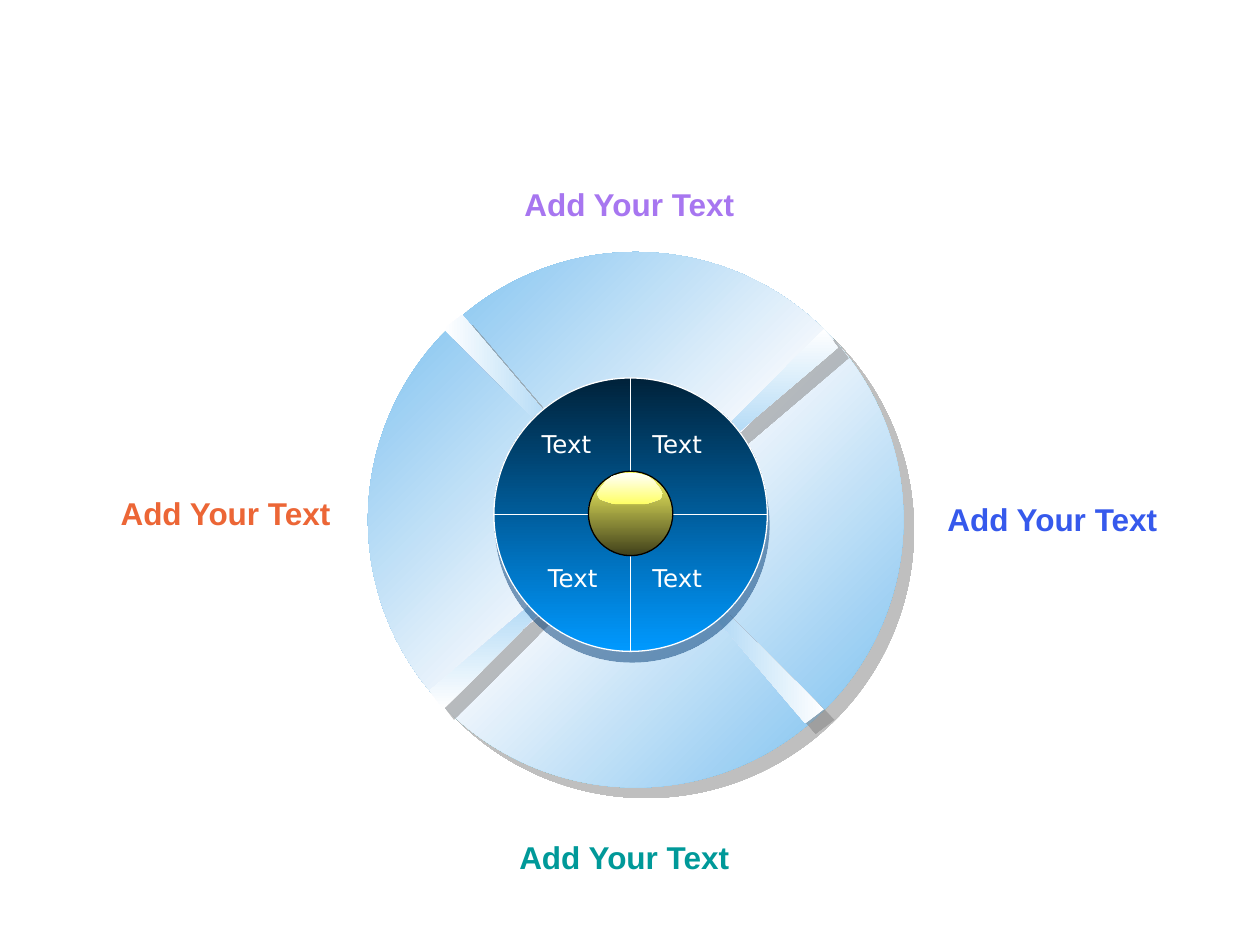
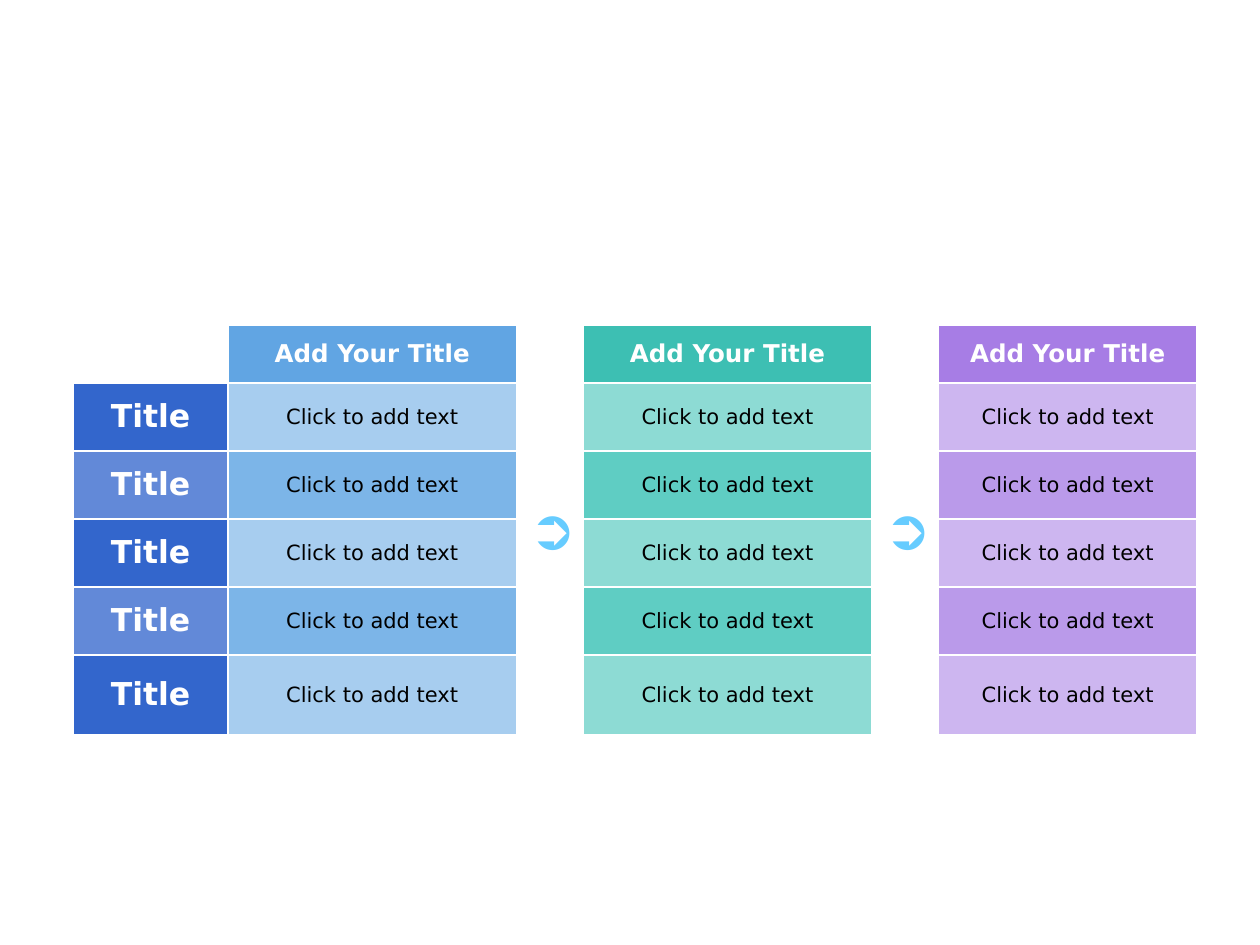
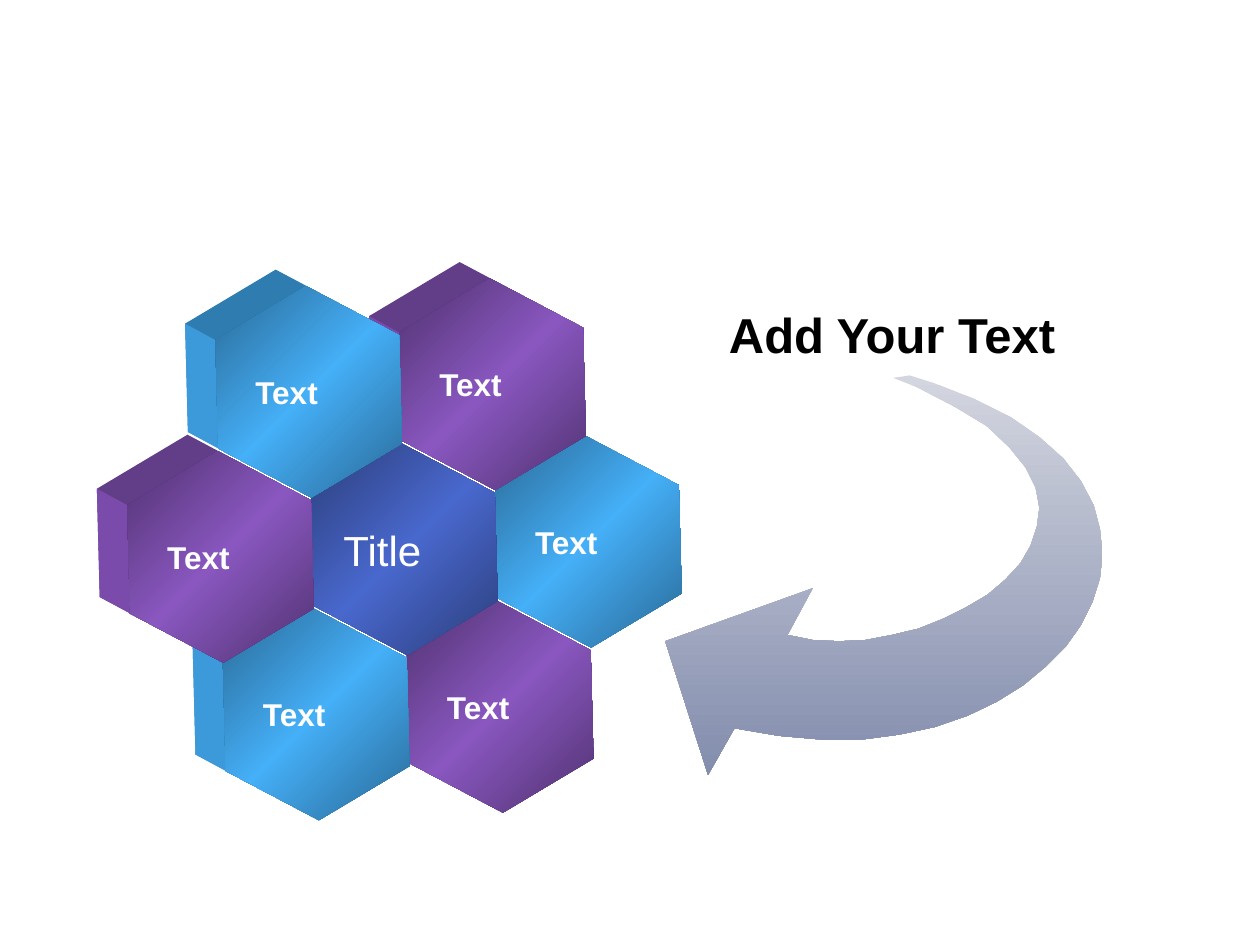
import math

import pptx
import pptx.dml.color
import pptx.enum.shapes
import pptx.enum.text
import pptx.oxml
import pptx.oxml.ns
import pptx.util

RGB = pptx.dml.color.RGBColor
SHAPE = pptx.enum.shapes.MSO_SHAPE
MIDDLE = pptx.enum.text.MSO_ANCHOR.MIDDLE
GROW = pptx.enum.text.MSO_AUTO_SIZE.SHAPE_TO_FIT_TEXT
LEFT, CENTER = pptx.enum.text.PP_ALIGN.LEFT, pptx.enum.text.PP_ALIGN.CENTER

# Colours
WHITE, BLACK, GREY = RGB(255, 255, 255), RGB(0, 0, 0), RGB(0x80, 0x80, 0x80)
SKY, ICE = RGB(0x70, 0xBB, 0xEE), RGB(0xF0, 0xF6, 0xFC)
NAVY, AZURE, NAVY_SHADE = RGB(0x00, 0x22, 0x3A), RGB(0x00, 0x99, 0xFF), RGB(0x00, 0x3B, 0x76)
YELLOW, OLIVE = RGB(0xFF, 0xFF, 0x66), RGB(0x40, 0x40, 0x1A)
BLUE, ORANGE = RGB(0x36, 0x59, 0xEC), RGB(0xEC, 0x66, 0x36)
VIOLET, TEAL = RGB(0xA7, 0x76, 0xF0), RGB(0x00, 0x99, 0x99)
ARROW_BLUE = RGB(0x66, 0xCC, 0xFF)
MIST, SLATE = RGB(0xD3, 0xD5, 0xDF), RGB(0x83, 0x8D, 0xAD)

# Table columns: header, odd rows, even rows
TITLE_FILLS = (None, RGB(0x33, 0x66, 0xCC), RGB(0x62, 0x89, 0xD8))
BLUE_FILLS = (RGB(0x61, 0xA5, 0xE3), RGB(0xA7, 0xCD, 0xEF), RGB(0x7C, 0xB5, 0xE8))
TEAL_FILLS = (RGB(0x3D, 0xBF, 0xB3), RGB(0x8D, 0xDB, 0xD4), RGB(0x5F, 0xCD, 0xC3))
VIOLET_FILLS = (RGB(0xA7, 0x7D, 0xE5), RGB(0xCD, 0xB6, 0xF0), RGB(0xBA, 0x9A, 0xEA))

# Honeycomb: face edge, face centre, top side, left side
BLUE_HEX = (RGB(0x29, 0x69, 0x95), RGB(0x45, 0xAF, 0xF7), RGB(0x2F, 0x7D, 0xB0), RGB(0x3C, 0x9A, 0xDB))
PURPLE_HEX = (RGB(0x50, 0x32, 0x70), RGB(0x89, 0x57, 0xBF), RGB(0x62, 0x3E, 0x89), RGB(0x7A, 0x4B, 0xAA))
CORE_HEX = (RGB(0x2B, 0x3D, 0x7A), RGB(0x49, 0x68, 0xCD), RGB(0x34, 0x4A, 0x93), RGB(0x41, 0x5C, 0xB5))

ARIAL, DEJAVU = "Arial", "DejaVu Sans"
COLS, ROWS = 10, 7.5


def xml(tag, attrs, inner=""):
    return f"<a:{tag} {pptx.oxml.ns.nsdecls('a')} {attrs}>{inner}</a:{tag}>"


def colour_xml(color, inner=""):
    return f'<a:srgbClr val="{color}">{inner}</a:srgbClr>'


def write(tf, text, size=18, color=WHITE, bold=False, font=ARIAL, align=CENTER):
    p = tf.paragraphs[0]
    p.alignment = align
    r = p.add_run()
    r.text = text
    r.font.size = pptx.util.Pt(size)
    r.font.bold = bold
    r.font.name = font
    r.font.color.rgb = color


class Deck:
    """Holds the grid of square cells and the current slide."""

    def __init__(self):
        self.prs = pptx.Presentation()
        self.prs.slide_width = pptx.util.Inches(10)
        self.prs.slide_height = pptx.util.Inches(7.5)
        self.col = self.prs.slide_width / COLS
        self.row = self.prs.slide_height / ROWS

    def new_slide(self):
        self.slide = self.prs.slides.add_slide(self.prs.slide_layouts[6])

    def point(self, x, y):
        return round(x * self.col), round(y * self.row)

    def box(self, x, y, w, h):
        return self.point(x, y) + self.point(w, h)

    def style(self, sp, fill, angle=0, line=None, shadow=None):
        """fill is one colour, or a list of evenly spaced gradient colours."""
        sp.shadow.inherit = False
        spPr = sp._element.spPr
        if isinstance(fill, list):
            sp.fill.background()
            stops = "".join(
                f'<a:gs pos="{i * 100000 // (len(fill) - 1)}">{colour_xml(c)}</a:gs>'
                for i, c in enumerate(fill))
            grad = xml("gradFill", 'rotWithShape="1"',
                       f'<a:gsLst>{stops}</a:gsLst><a:lin ang="{angle * 60000}" scaled="0"/>')
            spPr.replace(spPr.find(pptx.oxml.ns.qn("a:noFill")), pptx.oxml.parse_xml(grad))
        else:
            sp.fill.solid()
            sp.fill.fore_color.rgb = fill
        if line is None:
            sp.line.fill.background()
        else:
            sp.line.color.rgb = line
            sp.line.width = pptx.util.Pt(0.75)
        if shadow:
            color, dist, direction = shadow
            spPr.find(pptx.oxml.ns.qn("a:effectLst")).append(pptx.oxml.parse_xml(xml(
                "outerShdw",
                f'dist="{pptx.util.Pt(dist)}" dir="{direction * 60000}" algn="ctr" rotWithShape="0"',
                colour_xml(color, '<a:alpha val="50000"/>'))))
        return sp

    def shape(self, kind, x, y, w, h, fill, **style):
        sp = self.slide.shapes.add_shape(kind, *self.box(x, y, w, h))
        return self.style(sp, fill, **style)

    def outline(self, points, fill, **style):
        start, *rest = [self.point(x, y) for x, y in points]
        fb = self.slide.shapes.build_freeform(*start)
        fb.add_line_segments(rest, close=True)
        return self.style(fb.convert_to_shape(), fill, **style)

    def label(self, text, x, y, w, h, **fmt):
        tf = self.slide.shapes.add_textbox(*self.box(x, y, w, h)).text_frame
        tf.word_wrap = False
        tf.auto_size = GROW
        write(tf, text, **fmt)

    def table(self, x, y, widths, heights):
        size = self.box(x, y, sum(widths), sum(heights))
        table = self.slide.shapes.add_table(len(heights), len(widths), *size).table
        table.first_row = table.horz_banding = False
        for column, width in zip(table.columns, widths):
            column.width = round(width * self.col)
        for row, height in zip(table.rows, heights):
            row.height = round(height * self.row)
        return table

    def cell(self, cell, text, fill, **fmt):
        if fill is None:
            cell.fill.background()
        else:
            cell.fill.solid()
            cell.fill.fore_color.rgb = fill
        tcPr = cell._tc.get_or_add_tcPr()
        for i, side in enumerate(("lnL", "lnR", "lnT", "lnB")):
            border = xml(side, f'w="{pptx.util.Pt(1)}"',
                         f"<a:solidFill>{colour_xml(WHITE)}</a:solidFill>")
            tcPr.insert(i, pptx.oxml.parse_xml(border))
        cell.vertical_anchor = MIDDLE
        if text:
            write(cell.text_frame, text, font=DEJAVU, **fmt)


def wheel_slide(deck):
    deck.new_slide()
    soft = (GREY, 8.5, 45)

    # Outer ring and its four blades, each a quarter turn on
    deck.shape(SHAPE.FLOWCHART_SUMMING_JUNCTION, 2.92, 2, 4.25, 4.25, [SKY, ICE, SKY],
               angle=45, shadow=soft)
    cx, cy = 5.03, 4.12
    blade = [(1.51, -1.51), (-0.04, 0.05), (1.62, -1.36)]
    for turn in range(4):
        deck.outline([(cx + x, cy + y) for x, y in blade], [WHITE, SKY],
                     angle=(90 + 90 * turn) % 360, shadow=soft)
        blade = [(-y, x) for x, y in blade]

    # Inner wheel
    deck.shape(SHAPE.FLOWCHART_OR, 3.92, 3, 2.17, 2.17, [NAVY, AZURE], angle=90,
               line=WHITE, shadow=(NAVY_SHADE, 6.1, 81))
    for x, y in ((4.2, 3.36), (5.08, 3.36), (5.08, 4.42), (4.25, 4.42)):
        deck.label("Text", x, y, 0.63, 0.33, size=14, font=DEJAVU, align=LEFT)

    # Captions around the wheel
    for x, y, w, color, align in ((7.42, 3.92, 1.91, BLUE, LEFT), (0.75, 3.87, 2.08, ORANGE, CENTER),
                                  (3.5, 1.42, 2.99, VIOLET, CENTER), (3.42, 6.6, 3.07, TEAL, CENTER)):
        deck.label("Add Your Text", x, y, w, 0.4, color=color, bold=True, align=align)

    # Glossy hub
    deck.shape(SHAPE.OVAL, 4.67, 3.74, 0.67, 0.67, [YELLOW, OLIVE], angle=90, line=BLACK)
    half = [(0, 3.75), (0.07, 3.76), (0.14, 3.78), (0.19, 3.82), (0.23, 3.87), (0.26, 3.92),
            (0.24, 3.96), (0.19, 3.98), (0.12, 4), (0.06, 4)]
    gloss = [(5 + x, y) for x, y in half] + [(5 - x, y) for x, y in half[:0:-1]]
    deck.outline(gloss, [WHITE, YELLOW], angle=90)


def table_slide(deck):
    deck.new_slide()
    table = deck.table(0.58, 2.58, (1.23, 2.29, 0.53, 2.29, 0.53, 2.05),
                       (0.46, 0.54, 0.54, 0.54, 0.54, 0.61))
    last = len(table.rows) - 1

    # Row titles and the three text columns
    for row in range(last + 1):
        shade = 0 if row == 0 else 2 - row % 2
        deck.cell(table.cell(row, 0), "Title" if row else "", TITLE_FILLS[shade], bold=True)
        for col, fills in ((1, BLUE_FILLS), (3, TEAL_FILLS), (5, VIOLET_FILLS)):
            if row == 0:
                deck.cell(table.cell(row, col), "Add Your Title", fills[shade], size=14, bold=True)
            else:
                deck.cell(table.cell(row, col), "Click to add text", fills[shade],
                          size=12, color=BLACK)

    # Arrows between the columns
    for col in (2, 4):
        table.cell(0, col).merge(table.cell(last, col))
        deck.cell(table.cell(0, col), "➲", WHITE, size=32, color=ARROW_BLUE)


def hexagon(cx, cy):
    """Corners clockwise from the top, tilted slightly to the left."""
    tilt = math.radians(1.5)
    corners = ((0, -0.84), (0.73, -0.43), (0.73, 0.43), (0, 0.84), (-0.73, 0.43), (-0.73, -0.43))
    return [(cx + x * math.cos(tilt) + y * math.sin(tilt),
             cy - x * math.sin(tilt) + y * math.cos(tilt)) for x, y in corners]


def hex_block(deck, cx, cy, colors, deep, text, **fmt):
    edge, middle, top_side, left_side = colors
    front = hexagon(cx, cy)
    if deep:
        back = hexagon(cx - 0.24, cy - 0.13)
        deck.outline([back[0], front[1], front[3], back[4], back[5]], top_side)
        deck.outline([front[4], front[5], back[5], back[4]], left_side)
    tf = deck.outline(front, [edge, middle, edge], angle=45).text_frame
    tf.word_wrap = False
    tf.vertical_anchor = MIDDLE
    tf.margin_left = 0
    tf.margin_right = round(0.35 * deck.col)
    write(tf, text, **fmt)


def honeycomb_slide(deck):
    deck.new_slide()

    # Curved arrow: outer edge, head, inner edge
    outer = [(7.22, 2.98), (7.41, 3.04), (7.74, 3.17), (8.02, 3.31), (8.25, 3.47), (8.44, 3.64),
             (8.58, 3.82), (8.68, 4.01), (8.73, 4.2), (8.75, 4.4), (8.73, 4.59), (8.67, 4.78),
             (8.58, 4.96), (8.46, 5.13), (8.3, 5.29), (8.12, 5.44), (7.91, 5.57), (7.68, 5.68),
             (7.42, 5.77), (7.14, 5.83), (6.84, 5.87), (6.52, 5.87), (6.18, 5.84), (5.83, 5.78)]
    head = [(5.62, 6.15), (5.28, 5.09), (6.45, 4.67)]
    inner = [(6.25, 5.04), (6.45, 5.08), (6.66, 5.09), (6.87, 5.08), (7.08, 5.04), (7.29, 4.99),
             (7.49, 4.91), (7.67, 4.82), (7.84, 4.72), (7.98, 4.6), (8.1, 4.47), (8.18, 4.33),
             (8.23, 4.18), (8.25, 4.03), (8.22, 3.87), (8.14, 3.71), (8.01, 3.55), (7.83, 3.38),
             (7.58, 3.23), (7.27, 3.07), (7.09, 3)]
    deck.outline(outer + head + inner, [MIST, SLATE], angle=90)

    # Lattice of hexagons: steps to the right and down, from the core
    right, down = (1.46, -0.06), (0.76, 1.25)
    word = dict(text="Text", bold=True)
    for i, j, colors, fmt in ((1, 0, BLUE_HEX, word), (1, -1, PURPLE_HEX, word),
                              (0, 1, PURPLE_HEX, word),
                              (0, 0, CORE_HEX, dict(text="Title", size=24)),
                              (0, -1, BLUE_HEX, word), (-1, 1, BLUE_HEX, word),
                              (-1, 0, PURPLE_HEX, word)):
        hex_block(deck, 3.21 + i * right[0] + j * down[0],
                  4.36 + i * right[1] + j * down[1], colors, min(i, j) < 0, **fmt)

    deck.label("Add Your Text", 5.65, 2.37, 2.86, 0.57, size=28, color=BLACK, bold=True)


def main():
    deck = Deck()
    wheel_slide(deck)
    table_slide(deck)
    honeycomb_slide(deck)
    deck.prs.save("out.pptx")


if __name__ == "__main__":
    main()
